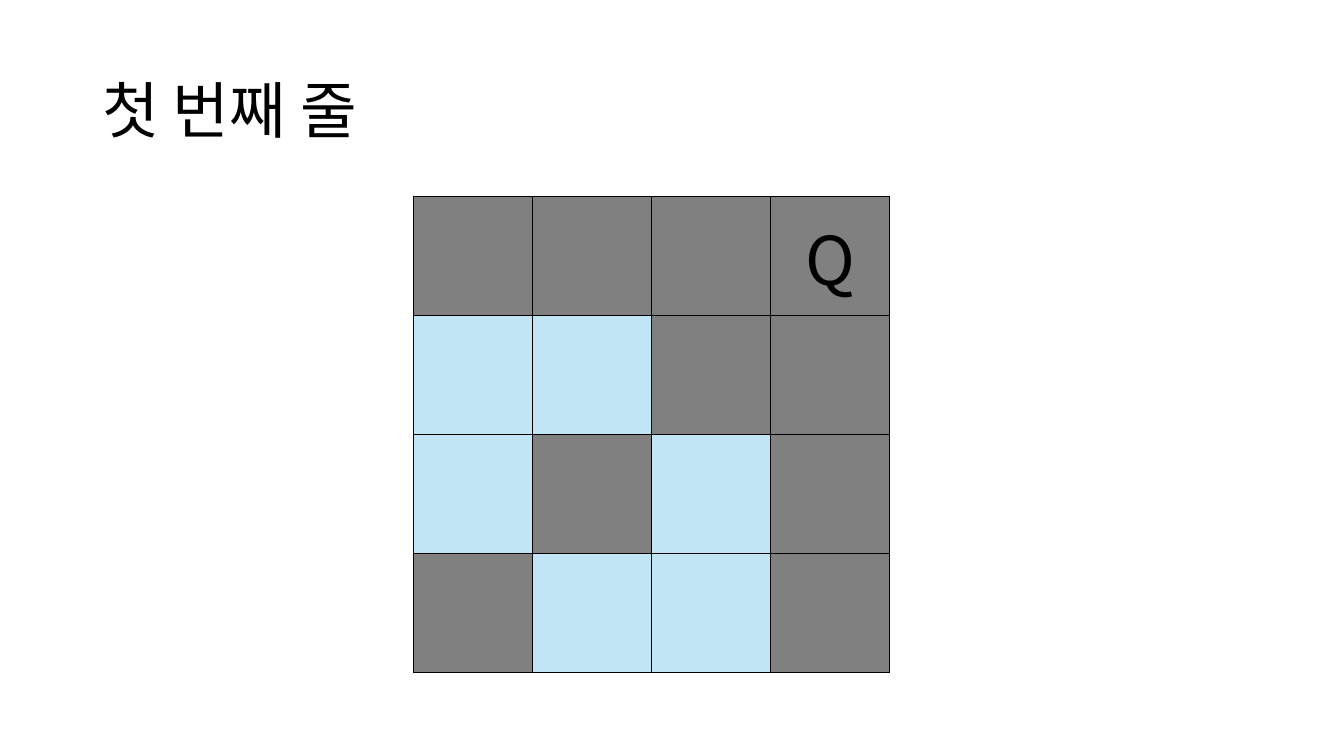
from lxml import etree
from pptx import Presentation
from pptx import util as u
from pptx.dml.color import RGBColor
from pptx.enum import text
from pptx.oxml.ns import qn

# Content: "#" attacked, "." free, "Q" queen
TITLE = "첫 번째 줄"
BOARD = ["###Q", "..##", ".#.#", "#..#"]

# Look
FILLS = {"#": "808080", "Q": "808080", ".": "C1E5F5"}
FONT = "Noto Sans CJK KR"
INK = "000000"
EDGES = ("a:lnL", "a:lnR", "a:lnT", "a:lnB")

# Layout in points
WIDTH, HEIGHT = 960, 540
HEAD = {"left": 66, "top": 28.8, "width": 828, "height": 104.4}
LEFT, TOP, SIDE = 295.6, 140.4, 85


def color(code):
    return RGBColor.from_string(code)


def write(frame, words, size, align):
    """Put one styled, vertically centred line in a text frame."""
    frame.text = words
    frame.vertical_anchor = text.MSO_ANCHOR.MIDDLE
    para = frame.paragraphs[0]
    para.alignment = align
    font = para.runs[0].font
    form = {"name": FONT, "size": u.Pt(size), "bold": False}
    for key, val in form.items():
        setattr(font, key, val)
    font.color.rgb = color(INK)
    # East Asian face for the Korean letters
    etree.SubElement(font._element, qn("a:ea"), typeface=FONT)
    return para


def border(cell):
    """Draw a thin line on each edge; lines come before the fill."""
    props = cell._tc.get_or_add_tcPr()
    for spot, edge in enumerate(EDGES):
        line = etree.Element(qn(edge), w=str(u.Pt(1)))
        fill = etree.SubElement(line, qn("a:solidFill"))
        etree.SubElement(fill, qn("a:srgbClr"), val=INK)
        props.insert(spot, line)


deck = Presentation()
deck.slide_width, deck.slide_height = u.Pt(WIDTH), u.Pt(HEIGHT)
slide = deck.slides.add_slide(deck.slide_layouts[5])

# Title
title = slide.shapes.title
for key, val in HEAD.items():
    setattr(title, key, u.Pt(val))
title.text_frame.word_wrap = True
head = write(title.text_frame, TITLE, 44, text.PP_ALIGN.LEFT)
head.line_spacing = 0.9

# Chess board: equal columns and rows split the span into squares
count = len(BOARD)
span = u.Pt(SIDE * count)
grid = slide.shapes.add_table(
    count, count, u.Pt(LEFT), u.Pt(TOP), span, span).table

# Squares
for y, marks in enumerate(BOARD):
    for x, mark in enumerate(marks):
        cell = grid.cell(y, x)
        cell.fill.solid()
        cell.fill.fore_color.rgb = color(FILLS[mark])
        border(cell)
        if mark == "Q":
            write(cell.text_frame, mark, 48, text.PP_ALIGN.CENTER)
            cell.vertical_anchor = text.MSO_ANCHOR.MIDDLE

deck.save("out.pptx")
